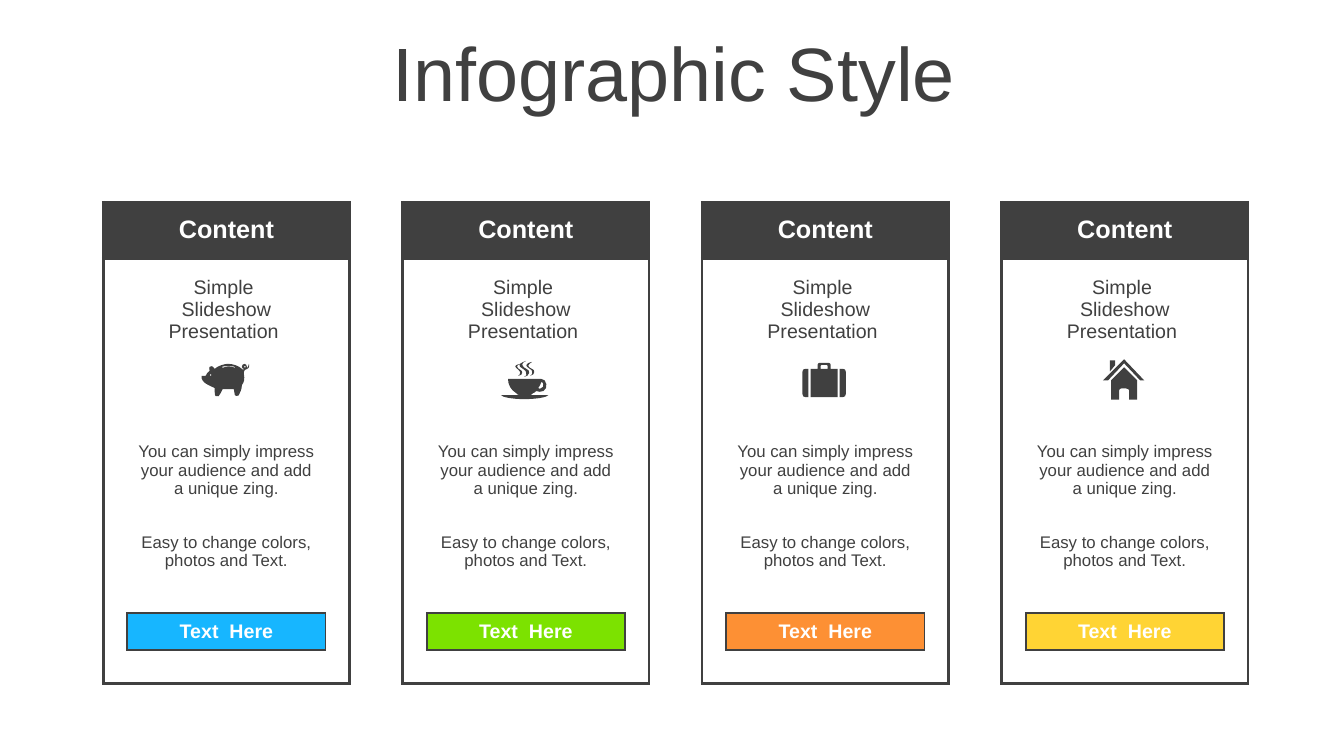
"""Build the four-card infographic slide."""
from dataclasses import dataclass

from lxml import etree
from pptx import Presentation
from pptx.dml.color import RGBColor
from pptx.enum.text import MSO_ANCHOR, PP_ALIGN
from pptx.oxml.ns import qn
from pptx.slide import Slide
from pptx.table import _Cell
from pptx.text.text import TextFrame
from pptx.util import Pt

MIDDLE = MSO_ANCHOR.MIDDLE
CENTER = PP_ALIGN.CENTER


@dataclass(frozen=True)
class Theme:
    font: str = "Arial"
    dark: str = "404040"
    white: str = "FFFFFF"
    title_size: float = 54
    heading_size: float = 18
    label_size: float = 14
    body_size: float = 12
    frame_width: float = 2.25
    button_width: float = 1.5
    body_opacity: int = 20


@dataclass(frozen=True)
class Icon:
    width: float
    height: float
    contours: tuple[str, ...]


@dataclass(frozen=True)
class Card:
    accent: str
    icon: Icon


@dataclass(frozen=True)
class CellText:
    lines: tuple[str, ...]
    size: float
    color: str
    bold: bool = False


THEME = Theme()
CARD_LEFT, CARD_TOP, CARD_PITCH = 73.7, 144.4, 213.9
COLUMNS = (16.4, 141.6, 16.4)
ROWS = (40, 73.4, 40, 76.3, 40, 23.8, 26.5, 23.8)
HEADER_ROW, BODY_ROW, BUTTON_ROW, LAST_ROW = 0, 3, 6, 7
ICON_MIDDLE = 271.4
ICON_UNIT = 0.72

TEXTS = {
    HEADER_ROW: CellText(("Content",), THEME.heading_size, THEME.white, True),
    1: CellText(("Simple ", "Slideshow Presentation "), THEME.label_size, THEME.dark),
    BODY_ROW: CellText(("You can simply impress your audience and add a unique zing.",),
                       THEME.body_size, THEME.dark),
    4: CellText(("Easy to change colors, photos and Text.",), THEME.body_size, THEME.dark),
    BUTTON_ROW: CellText(("Text  Here",), THEME.label_size, THEME.white, True),
}

PIG = Icon(47, 32, (
    "9 10 C 8 10 8 10 8 11 C 8 12 8 12 9 12 C 10 12 10 12 10 11 C 10 10 10 10 9 10",
    "43 2 C 42 2 42 2 42 3 C 42 4 42 4 43 4 C 43 4 44 4 44 3 C 44 2 43 2 43 2",
    "27 2 C 25 2 22 2 20 3 L 21 4 C 25 2 29 2 33 4 L 33 3 C 31 2 29 2 27 2",
    "26 0 C 31 0 37 2 40 5 L 41 6 C 41 6 41 6 42 5 C 41 5 40 4 40 3 C 40 1 41 0 43 0 "
    "C 44 0 45 2 45 3 C 45 4 45 3 45 4 C 45 4 46 4 47 0 C 48 4 46 5 43 6 "
    "C 43 7 42 7 42 8 C 42 8 42 8 42 8 L 42 10 C 43 15 42 19 40 21 C 40 26 38 28 37 31 "
    "C 37 32 33 32 33 31 C 33 29 32 27 32 25 C 28 25 24 25 21 25 C 20 28 18 30 17 32 "
    "L 14 32 C 13 32 13 27 13 24 C 9 22 -1 19 0 12 C 0 12 2 12 4 12 "
    "C 5 10 6 8 8 7 C 8 5 7 3 8 3 C 11 1 12 4 13 5 C 16 2 23 0 26 0",
))
CUP = Icon(47, 38, (
    "40 21 C 39 23 39 25 37 27 C 38 28 39 28 40 27 C 42 27 42 25 42 23 C 42 22 41 21 40 21",
    "40 18 L 40 18 C 42 18 45 20 45 23 C 46 26 44 29 42 30 C 40 31 37 31 35 30 "
    "C 34 31 33 32 32 32 C 31 33 30 34 29 34 L 47 34 C 46 36 36 38 23 38 "
    "C 11 38 1 36 0 34 L 18 34 C 17 34 16 33 15 32 C 10 29 7 24 7 18",
    "19 3 C 17 4 16 4 16 6 C 17 9 22 9 21 12 C 21 14 20 14 17 15 "
    "C 19 14 19 13 19 11 C 19 9 16 9 15 7 C 13 5 15 4 19 3",
    "31 1 C 29 3 27 3 27 5 C 28 8 34 8 33 11 C 33 13 32 14 29 15 "
    "C 31 14 31 13 31 11 C 31 8 27 8 26 6 C 24 4 26 2 31 1",
    "25 0 C 22 2 21 2 21 4 C 22 8 29 8 28 12 C 27 15 26 15 23 16 "
    "C 25 15 26 14 25 12 C 25 9 21 8 19 6 C 17 3 20 2 25 0",
))
SUITCASE = Icon(43, 34, (
    "37 6 L 40 6 C 42 6 43 7 43 9 L 43 31 C 43 33 42 34 40 34 L 37 34",
    "3 6 L 6 6 L 6 34 L 3 34 C 1 34 0 33 0 31 L 0 9 C 0 7 1 6 3 6",
    "19 2 C 18 2 18 3 18 3 L 18 6 L 25 6 L 25 3 C 25 3 25 2 24 2",
    "17 0 L 26 0 C 27 0 28 1 28 2 L 28 6 L 35 6 L 35 34 L 8 34 L 8 6 L 15 6 "
    "L 15 2 C 15 1 16 0 17 0",
))
HOUSE = Icon(41, 41, (
    "21 8 L 34 21 L 34 21 L 34 40 L 26 40 L 26 31 C 26 30 25 29 23 29 L 18 29 "
    "C 17 29 16 30 16 31 L 16 40 L 8 40 L 8 21 L 8 21",
    "7 1 L 12 1 L 12 6 L 7 12",
    "21 0 L 41 21 L 37 21 L 21 4",
    "21 0 L 21 4 L 5 21 L 0 21",
))
CARDS = (Card("17B6FF", PIG), Card("7CE200", CUP),
         Card("FD9034", SUITCASE), Card("FFD434", HOUSE))


def write_text(frame: TextFrame, text: CellText, **spacing: float) -> None:
    for index, line in enumerate(text.lines):
        para = frame.add_paragraph() if index else frame.paragraphs[0]
        for name, value in {"alignment": CENTER, **spacing}.items():
            setattr(para, name, value)
        span = para.add_run()
        span.text = line
        values = {"name": THEME.font, "size": Pt(text.size), "bold": text.bold}
        for name, value in values.items():
            setattr(span.font, name, value)
        span.font.color.rgb = RGBColor.from_string(text.color)


def border_widths(row: int, column: int) -> dict[str, float]:
    frame, button = THEME.frame_width, THEME.button_width
    beside = row == BUTTON_ROW
    center = column == 1
    left = frame if column == 0 else button if beside else 0
    right = frame if column == 2 else button if beside else 0
    top = frame if row <= 1 else button if center and row >= BUTTON_ROW else 0
    bottom = (frame if row in (HEADER_ROW, LAST_ROW)
              else button if center and row >= BUTTON_ROW - 1 else 0)
    return {"a:lnL": left, "a:lnR": right, "a:lnT": top, "a:lnB": bottom}


def set_borders(cell: _Cell, widths: dict[str, float]) -> None:
    properties = cell._tc.get_or_add_tcPr()
    for tag, width in widths.items():
        line = etree.SubElement(properties, qn(tag), w=str(Pt(width)))
        if width:
            fill = etree.SubElement(line, qn("a:solidFill"))
            etree.SubElement(fill, qn("a:srgbClr"), val=THEME.dark)
        else:
            etree.SubElement(line, qn("a:noFill"))


def fill_cell(cell: _Cell, color: str, opacity: int = 100) -> None:
    cell.fill.solid()
    cell.fill.fore_color.rgb = RGBColor.from_string(color)
    if opacity < 100:
        tone = cell._tc.tcPr.find(qn("a:solidFill")).find(qn("a:srgbClr"))
        etree.SubElement(tone, qn("a:alpha"), val=str(opacity * 1000))


def draw_card(page: Slide, card: Card, left: float) -> None:
    table = page.shapes.add_table(len(ROWS), len(COLUMNS), Pt(left), Pt(CARD_TOP),
                                  Pt(sum(COLUMNS)), Pt(sum(ROWS))).table
    table.first_row = table.horz_banding = False
    for column, width in enumerate(COLUMNS):
        table.columns[column].width = Pt(width)
    for row, height in enumerate(ROWS):
        table.rows[row].height = Pt(height)
        for column in range(len(COLUMNS)):
            cell = table.cell(row, column)
            set_borders(cell, border_widths(row, column))
            if row == BUTTON_ROW and column == 1:
                fill_cell(cell, card.accent)
            elif row == HEADER_ROW:
                fill_cell(cell, THEME.dark)
            else:
                fill_cell(cell, THEME.white, THEME.body_opacity if row >= BODY_ROW else 100)
            cell.vertical_anchor = MIDDLE
            if column == 1 and row in TEXTS:
                write_text(cell.text_frame, TEXTS[row])
            else:
                cell.margin_top = cell.margin_bottom = Pt(0)


def bend_curves(outline: etree._Element, contours: tuple[str, ...]) -> None:
    lines = iter(outline.findall(qn("a:lnTo")))
    for command in "".join(contours):
        if command == "L":
            next(lines)
        elif command == "C":
            corners = [next(lines) for _ in range(3)]
            curve = etree.Element(qn("a:cubicBezTo"))
            corners[0].addprevious(curve)
            for corner in corners:
                curve.append(corner[0])
                outline.remove(corner)


def draw_icon(page: Slide, icon: Icon, center: float) -> None:
    left = center - icon.width * ICON_UNIT / 2
    top = ICON_MIDDLE - icon.height * ICON_UNIT / 2
    builder = None
    for contour in icon.contours:
        numbers = [float(word) * ICON_UNIT for word in contour.split() if word not in "LC"]
        points = [(Pt(left + x), Pt(top + y)) for x, y in zip(numbers[::2], numbers[1::2])]
        if builder:
            builder.move_to(*points[0])
        else:
            builder = page.shapes.build_freeform(*points[0], scale=1.0)
        builder.add_line_segments(points[1:], close=True)
    shape = builder.convert_to_shape()
    bend_curves(next(shape.element.iter(qn("a:path"))), icon.contours)
    shape.shadow.inherit = False
    shape.fill.solid()
    shape.fill.fore_color.rgb = RGBColor.from_string(THEME.dark)
    shape.line.fill.background()


def main() -> None:
    deck = Presentation()
    deck.slide_width, deck.slide_height = Pt(960), Pt(540)
    page = deck.slides.add_slide(deck.slide_layouts[6])
    box = page.shapes.add_textbox(Pt(25.5), Pt(26.64), Pt(911.52), Pt(56.88))
    box.text_frame.word_wrap = True
    box.text_frame.vertical_anchor = MIDDLE
    title = CellText(("Infographic Style",), THEME.title_size, THEME.dark)
    write_text(box.text_frame, title, line_spacing=0.9)
    for index, card in enumerate(CARDS):
        left = CARD_LEFT + index * CARD_PITCH
        draw_card(page, card, left)
        draw_icon(page, card.icon, left + sum(COLUMNS) / 2)
    deck.save("out.pptx")


if __name__ == "__main__":
    main()
